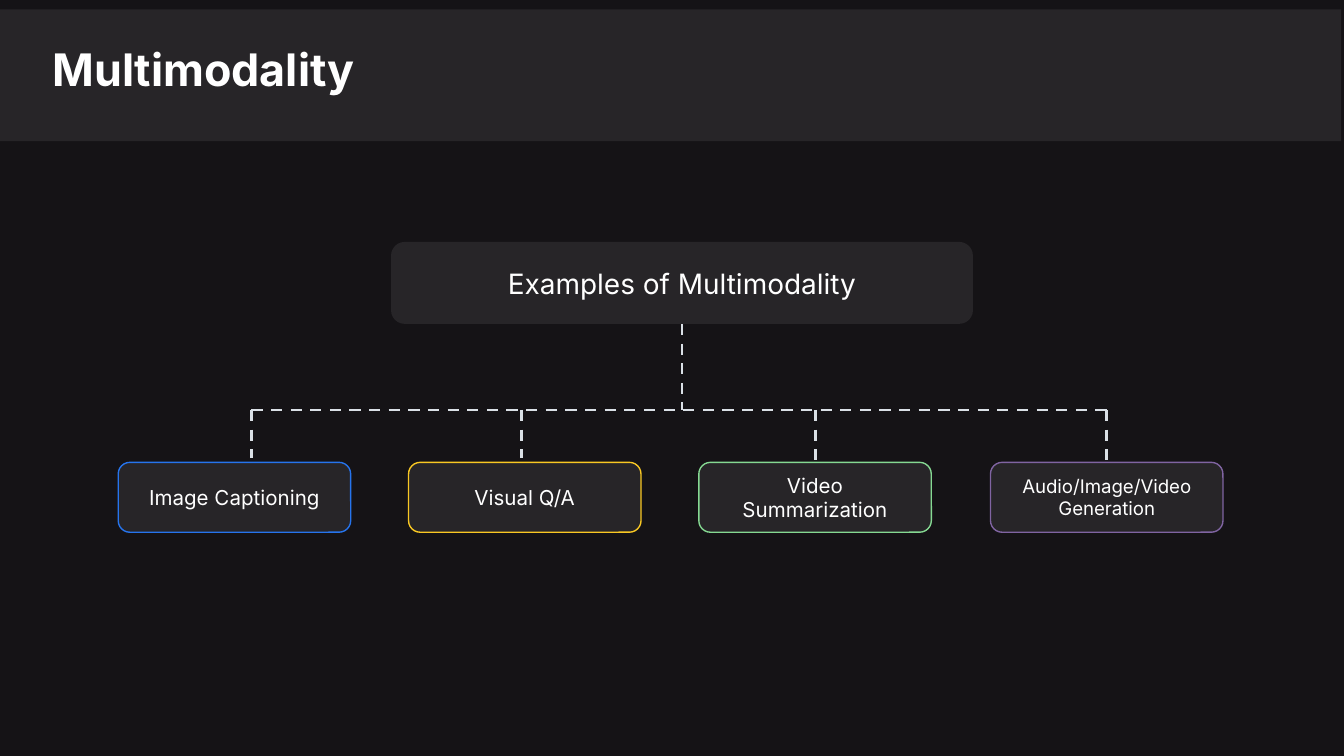
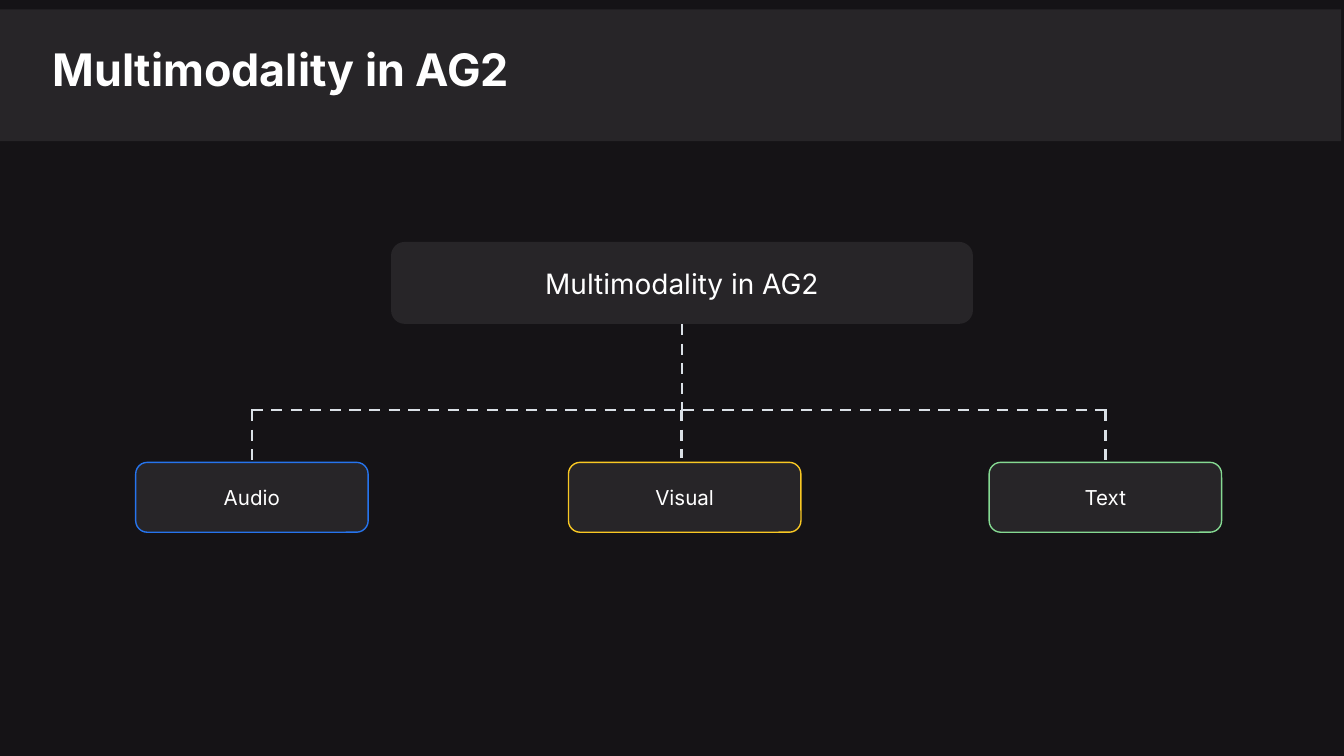
from pptx import Presentation
from pptx.dml.color import RGBColor
from pptx.enum.dml import MSO_LINE
from pptx.enum.shapes import MSO_CONNECTOR, MSO_SHAPE
from pptx.enum.text import MSO_ANCHOR, MSO_AUTO_SIZE, PP_ALIGN
from pptx.oxml.ns import qn
from pptx.util import Inches, Pt
from lxml import etree

DASH = MSO_LINE.DASH
STRAIGHT = MSO_CONNECTOR.STRAIGHT
RECTANGLE, ROUNDED = MSO_SHAPE.RECTANGLE, MSO_SHAPE.ROUNDED_RECTANGLE
TOP, MIDDLE = MSO_ANCHOR.TOP, MSO_ANCHOR.MIDDLE
NO_AUTOFIT = MSO_AUTO_SIZE.NONE
LEFT, CENTER = PP_ALIGN.LEFT, PP_ALIGN.CENTER

FONT = "Inter"
BACKGROUND, PANEL, WHITE, BRANCH = "151316", "272528", "FFFFFF", "DAE0E6"
BLUE, YELLOW, GREEN, PURPLE = "2674ED", "F9C823", "85D992", "8064A2"
ROOT_LEFT, ROOT_TOP, ROOT_WIDTH, ROOT_HEIGHT = 2.91, 1.8, 4.33, 0.61
TOPIC_TOP, TOPIC_WIDTH, TOPIC_HEIGHT = 3.44, 1.73, 0.52
RAIL_LEFT, RAIL_RIGHT, RAIL_Y, DROP_END = 1.87, 8.28, 3.05, 3.41

diagrams = [
    ("Multimodality", "Examples of Multimodality", [
        ("Image Captioning", 0.88, 1.87, BLUE, 11),
        ("Visual Q/A", 3.04, 3.88, YELLOW, 11),
        ("Video Summarization", 5.2, 6.07, GREEN, 11),
        ("Audio/Image/Video Generation", 7.37, 8.22, PURPLE, 10),
    ]),
    ("Multimodality in AG2", "Multimodality in AG2", [
        ("Audio", 1.01, 1.87, BLUE, 11),
        ("Visual", 4.23, 5.07, YELLOW, 11),
        ("Text", 7.36, 8.22, GREEN, 11),
    ]),
]


def paint(color_format, hex_color):
    if hasattr(color_format, "solid"):
        color_format.solid()
        color_format = color_format.fore_color
    color_format.rgb = RGBColor.from_string(hex_color)


def write(shape, text, size, align=CENTER, anchor=MIDDLE, bold=False):
    frame = shape.text_frame
    frame.text = text
    frame.word_wrap = True
    frame.auto_size = NO_AUTOFIT
    frame.vertical_anchor = anchor
    frame.margin_left = frame.margin_right = Inches(0.1)
    frame.margin_top = frame.margin_bottom = Inches(0.1)
    paragraph = frame.paragraphs[0]
    paragraph.alignment = align
    font = paragraph.runs[0].font
    font.name, font.size, font.bold = FONT, Pt(size), bold
    paint(font.color, WHITE)


prs = Presentation()
prs.slide_width = Inches(10)
prs.slide_height = prs.slide_width * 9 // 16
paint(prs.slide_master.background.fill, BACKGROUND)
title_only = prs.slide_layouts[5]

for heading, root_text, topics in diagrams:
    slide = prs.slides.add_slide(title_only)
    shapes = slide.shapes

    panels = [(ROOT_LEFT, ROOT_TOP, ROOT_WIDTH, ROOT_HEIGHT, ROUNDED, None)]
    for text, left, drop_x, outline, size in topics:
        panels.append((left, TOPIC_TOP, TOPIC_WIDTH, TOPIC_HEIGHT, ROUNDED, outline))
    panels.append((0, 0.07, 9.98, 0.98, RECTANGLE, None))

    drawn = []
    for left, top, width, height, kind, outline in panels:
        panel = shapes.add_shape(kind, Inches(left), Inches(top), Inches(width), Inches(height))
        panel.shadow.inherit = False
        paint(panel.fill, PANEL)
        if outline:
            paint(panel.line.color, outline)
            panel.line.width = Pt(0.75)
        else:
            panel.line.fill.background()
        drawn.append(panel)
    root, *topic_boxes, band = drawn

    write(root, root_text, 15)
    for box, topic in zip(topic_boxes, topics):
        write(box, topic[0], topic[4])

    root_x = ROOT_LEFT + ROOT_WIDTH / 2
    branches = [
        (root_x, ROOT_TOP + ROOT_HEIGHT, root_x, RAIL_Y, root, None),
        (RAIL_LEFT, RAIL_Y, RAIL_RIGHT, RAIL_Y, None, None),
    ]
    for box, (text, left, drop_x, outline, size) in zip(topic_boxes, topics):
        middle = left + TOPIC_WIDTH / 2
        if abs(middle - drop_x) < 0.02:
            branches.append((middle, RAIL_Y, middle, TOPIC_TOP, None, box))
        else:
            branches.append((drop_x, RAIL_Y, drop_x, DROP_END, None, None))

    for x1, y1, x2, y2, source, target in branches:
        branch = shapes.add_connector(STRAIGHT, Inches(x1), Inches(y1), Inches(x2), Inches(y2))
        if source:
            branch.begin_connect(source, 2)
        if target:
            branch.end_connect(target, 0)
        paint(branch.line.color, BRANCH)
        branch.line.width = Pt(1.5)
        branch.line.dash_style = DASH
        etree.SubElement(branch.element.spPr, qn("a:effectLst"))

    title = shapes.title
    title.left, title.top = Inches(0.29), Inches(0.21)
    title.width, title.height = Inches(8.74), Inches(0.58)
    write(title, heading, 24, LEFT, TOP, True)
    shapes.element.append(title.element)

prs.save("out.pptx")
